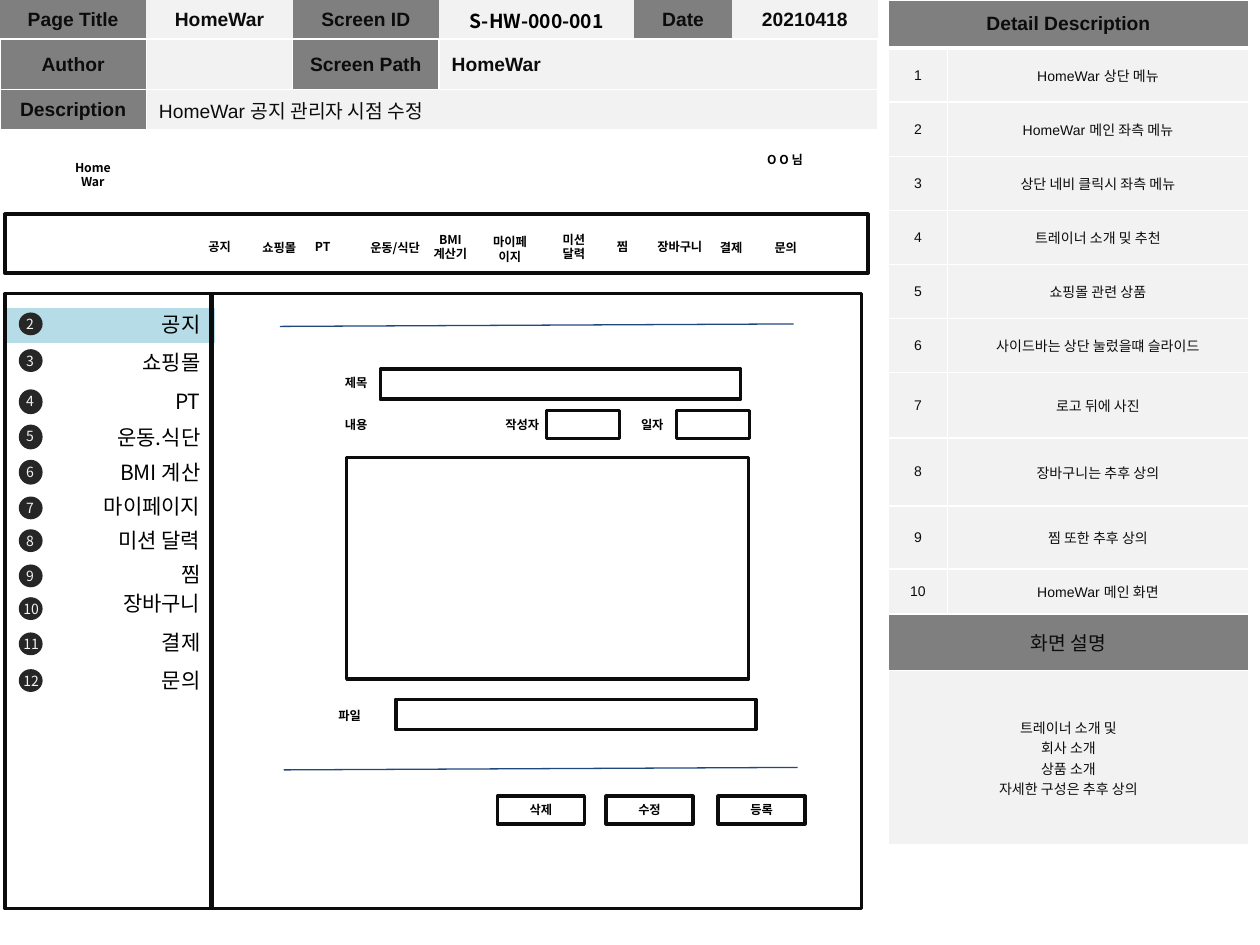
from dataclasses import dataclass

from lxml.etree import SubElement
from pptx import Presentation
from pptx.dml.color import RGBColor
from pptx.enum.shapes import MSO_CONNECTOR, MSO_SHAPE
from pptx.enum.text import MSO_ANCHOR, PP_ALIGN
from pptx.oxml.ns import qn
from pptx.util import Cm, Pt


@dataclass(frozen=True)
class Theme:
    ink: str = "0C0C0C"
    black: str = "000000"
    white: str = "FFFFFF"
    label_fill: str = "7F7F7F"
    value_fill: str = "F2F2F2"
    highlight: str = "B6DDE7"
    badge: str = "262626"
    rule: str = "1F497D"
    table_font: str = "Arial"
    body_font: str = "Noto Sans CJK KR"
    menu_size: float = 12
    heading_size: float = 11
    small_size: float = 8
    caption_size: float = 7
    frame_width: float = 2
    rule_width: float = 0.75


class Wireframe:
    def __init__(self, slide, theme):
        self.slide = slide
        self.theme = theme

    def fill_text(self, text_frame, text, size, color, font, bold=False, align=PP_ALIGN.CENTER):
        text_frame.text = text
        for paragraph in text_frame.paragraphs:
            paragraph.alignment = align
            paragraph.font.size = Pt(size)
            paragraph.font.bold = bold
            paragraph.font.color.rgb = RGBColor.from_string(color)
            paragraph.font.name = font
            east_asian = SubElement(paragraph.font._element, qn("a:ea"))
            east_asian.set("typeface", self.theme.body_font)

    def text(self, text, left, top, width, height, size, color=None, bold=False,
             align=PP_ALIGN.CENTER, parent=None):
        shapes = (parent or self.slide).shapes
        box = shapes.add_textbox(Cm(left), Cm(top), Cm(width), Cm(height))
        box.text_frame.word_wrap = True
        self.fill_text(box.text_frame, text, size, color or self.theme.black,
                       self.theme.body_font, bold, align)

    def caption(self, text, left, top, width=1.3, height=0.56, align=PP_ALIGN.CENTER):
        self.text(text, left, top, width, height, self.theme.caption_size, bold=True, align=align)

    def shape(self, kind, left, top, width, height, fill=None, line=None, parent=None):
        shapes = (parent or self.slide).shapes
        shape = shapes.add_shape(kind, Cm(left), Cm(top), Cm(width), Cm(height))
        shape.shadow.inherit = False
        if fill:
            shape.fill.solid()
            shape.fill.fore_color.rgb = RGBColor.from_string(fill)
        else:
            shape.fill.background()
        if line:
            shape.line.color.rgb = RGBColor.from_string(line)
            shape.line.width = Pt(self.theme.frame_width)
        else:
            shape.line.fill.background()

    def frame(self, left, top, width, height):
        self.shape(MSO_SHAPE.RECTANGLE, left, top, width, height, line=self.theme.ink)

    def badge(self, number, top, height):
        group = self.slide.shapes.add_group_shape()
        self.shape(MSO_SHAPE.OVAL, 0.38, top, 0.48, height, fill=self.theme.badge, parent=group)
        left, width = (0.28, 0.66) if number < 10 else (0.22, 0.84)
        self.text(str(number), left, top - 0.06, width, 0.61, self.theme.small_size,
                  self.theme.value_fill, align=PP_ALIGN.LEFT, parent=group)

    def rule(self, left, start, right, end):
        line = self.slide.shapes.add_connector(
            MSO_CONNECTOR.STRAIGHT, Cm(left), Cm(start), Cm(right), Cm(end))
        line.line.color.rgb = RGBColor.from_string(self.theme.rule)
        line.line.width = Pt(self.theme.rule_width)
        SubElement(line._element.spPr, qn("a:effectLst"))

    def table(self, left, columns, rows):
        graphic = self.slide.shapes.add_table(
            len(rows), len(columns), Cm(left), 0, Cm(sum(columns)), Cm(sum(rows)))
        table = graphic.table
        table.first_row = table.horz_banding = False
        for column, width in zip(table.columns, columns):
            column.width = Cm(width)
        for row, height in zip(table.rows, rows):
            row.height = Cm(height)
        return table

    def cell(self, cell, text, label=False, size=None, bold=False, align=PP_ALIGN.CENTER,
             font=None, color=None):
        cell.fill.solid()
        cell.fill.fore_color.rgb = RGBColor.from_string(
            self.theme.label_fill if label else self.theme.value_fill)
        cell.vertical_anchor = MSO_ANCHOR.MIDDLE
        if text:
            self.fill_text(cell.text_frame, text, size or self.theme.heading_size,
                           color or self.theme.ink, font or self.theme.table_font, bold, align)

    def borders(self, cell, left=1, right=1, top=1, bottom=1):
        properties = cell._tc.get_or_add_tcPr()
        for index, (side, width) in enumerate(zip("LRTB", (left, right, top, bottom))):
            line = properties.makeelement(qn(f"a:ln{side}"), {"w": str(Pt(width))})
            if width:
                fill = SubElement(line, qn("a:solidFill"))
                SubElement(fill, qn("a:srgbClr")).set("val", self.theme.white)
            else:
                SubElement(line, qn("a:noFill"))
            properties.insert(index, line)


def add_page_header(wireframe):
    theme = wireframe.theme
    table = wireframe.table(0, [2.95, 2.95, 2.95, 3.94, 1.96, 2.95], [0.79, 0.81, 0.81])
    table.cell(1, 3).merge(table.cell(1, 5))
    table.cell(2, 1).merge(table.cell(2, 5))
    rows = [
        ["Page Title", "HomeWar", "Screen ID", "S-HW-000-001", "Date", "20210418"],
        ["Author", "", "Screen Path", "HomeWar"],
        ["Description", "HomeWar 공지 관리자 시점 수정"],
    ]
    for row, texts in enumerate(rows):
        for column, text in enumerate(texts):
            cell = table.cell(row, column)
            is_id = text == "S-HW-000-001"
            wireframe.cell(cell, text, label=column % 2 == 0,
                           bold=not (row == 2 and column == 1),
                           align=PP_ALIGN.LEFT if cell.is_merge_origin else PP_ALIGN.CENTER,
                           font=theme.body_font if is_id else None,
                           color=theme.black if is_id else None)
        for column in range(6):
            sides = {"left": 0, "right": 0, "top": 0} if row == 0 else {}
            wireframe.borders(table.cell(row, column), **sides)


def add_detail_table(wireframe):
    small = wireframe.theme.small_size
    details = [
        "HomeWar 상단 메뉴", "HomeWar 메인 좌측 메뉴", "상단 네비 클릭시 좌측 메뉴",
        "트레이너 소개 밎 추천", "쇼핑몰 관련 상품", "사이드바는 상단 눌렀을떄 슬라이드",
        "로고 뒤에 사진", "장바구니는 추후 상의", "찜 또한 추후 상의", "HomeWar 메인 화면",
    ]
    heights = [0.97] + [1.09] * 6 + [1.32, 1.37, 1.27, 0.91, 1.14, 3.51]
    table = wireframe.table(17.91, [1.19, 6.07], heights)
    for row in (0, 11, 12):
        table.cell(row, 0).merge(table.cell(row, 1))
    wireframe.cell(table.cell(0, 0), "Detail Description", label=True, bold=True)
    for row, detail in enumerate(details, 1):
        wireframe.cell(table.cell(row, 0), str(row), size=small)
        wireframe.cell(table.cell(row, 1), detail, size=small)
    wireframe.cell(table.cell(11, 0), "화면 설명", label=True)
    wireframe.cell(table.cell(12, 0),
                   "트레이너 소개 및\n회사 소개\n상품 소개\n자세한 구성은 추후 상의", size=small)
    for row in range(len(heights)):
        for column in range(2):
            wireframe.borders(table.cell(row, column), top=3 if row == 1 else 1,
                              bottom=3 if row == 0 else 1)


def add_sidebar(wireframe):
    theme = wireframe.theme
    wireframe.shape(MSO_SHAPE.RECTANGLE, 0.1, 6.17, 4.27, 0.79, theme.highlight, theme.white)
    # Label, label top, badge top, badge height
    menu = [
        ("공지", 6.15, 6.3, 0.46), ("쇼핑몰", 6.93, 7.04, 0.46), ("PT", 7.7, 7.85, 0.5),
        ("운동.식단", 8.43, 8.56, 0.5), ("BMI 계산", 9.14, 9.27, 0.5),
        ("마이페이지", 9.83, 10.01, 0.46), ("미션 달력", 10.52, 10.67, 0.46),
        ("찜", 11.2, 11.38, 0.46), ("장바구니", 11.79, 12.04, 0.46),
        ("결제", 12.57, 12.75, 0.46), ("문의", 13.34, 13.49, 0.46),
    ]
    for number, (label, top, badge_top, height) in enumerate(menu, 2):
        wireframe.text(label, 0.1, top, 4.19, 0.76, theme.menu_size, align=PP_ALIGN.RIGHT)
        wireframe.badge(number, badge_top, height)
    wireframe.frame(0.1, 5.92, 4.19, 12.4)


def add_navigation(wireframe):
    wireframe.frame(0.1, 4.32, 17.4, 1.19)
    wireframe.caption("HomeWar", 1.22, 3.1, height=0.86)
    wireframe.caption("O O 님", 15.09, 2.95, 1.47)
    for text, left, top, width in [
        ("공지", 3.78, 4.7, 1.3), ("쇼핑몰", 4.98, 4.72, 1.3), ("운동/식단", 7.09, 4.72, 1.75),
        ("찜", 11.89, 4.7, 1.32), ("장바구니", 12.83, 4.7, 1.75),
        ("결제", 14.12, 4.72, 1.24), ("문의", 15.19, 4.72, 1.3),
    ]:
        wireframe.caption(text, left, top, width)
    wireframe.caption("PT", 6.1, 4.7, align=PP_ALIGN.LEFT)
    for text, left, top in [("BMI 계산기", 8.43, 4.55), ("마이페이지", 9.63, 4.6),
                            ("미션 달력", 10.92, 4.55)]:
        wireframe.caption(text, left, top, height=0.86)


def add_notice_form(wireframe):
    wireframe.frame(4.24, 5.92, 13.13, 12.4)
    wireframe.rule(5.64, 6.58, 16, 6.53)
    wireframe.rule(5.72, 15.52, 16.08, 15.47)
    # Field labels
    for text, left, top in [("제목", 6.53, 7.44), ("내용", 6.53, 8.28), ("작성자", 9.88, 8.28),
                            ("일자", 12.5, 8.28), ("파일", 6.4, 14.15)]:
        wireframe.caption(text, left, top)
    # Input boxes: title, author, date, content, file
    for box in [(7.67, 7.44, 7.26, 0.61), (11.02, 8.28, 1.47, 0.56), (13.64, 8.28, 1.47, 0.56),
                (6.99, 9.22, 8.1, 4.47), (7.98, 14.1, 7.26, 0.61)]:
        wireframe.frame(*box)
    # Buttons
    for text, left in [("삭제", 10.03), ("수정", 12.22), ("등록", 14.48)]:
        wireframe.frame(left, 16.05, 1.75, 0.56)
        wireframe.caption(text, left, 16.05, 1.75)


def main():
    presentation = Presentation()
    presentation.slide_width, presentation.slide_height = Cm(25.4), Cm(19.05)
    slide = presentation.slides.add_slide(presentation.slide_layouts[6])
    wireframe = Wireframe(slide, Theme())
    add_sidebar(wireframe)
    add_page_header(wireframe)
    add_detail_table(wireframe)
    add_navigation(wireframe)
    add_notice_form(wireframe)
    presentation.save("out.pptx")


if __name__ == "__main__":
    main()
